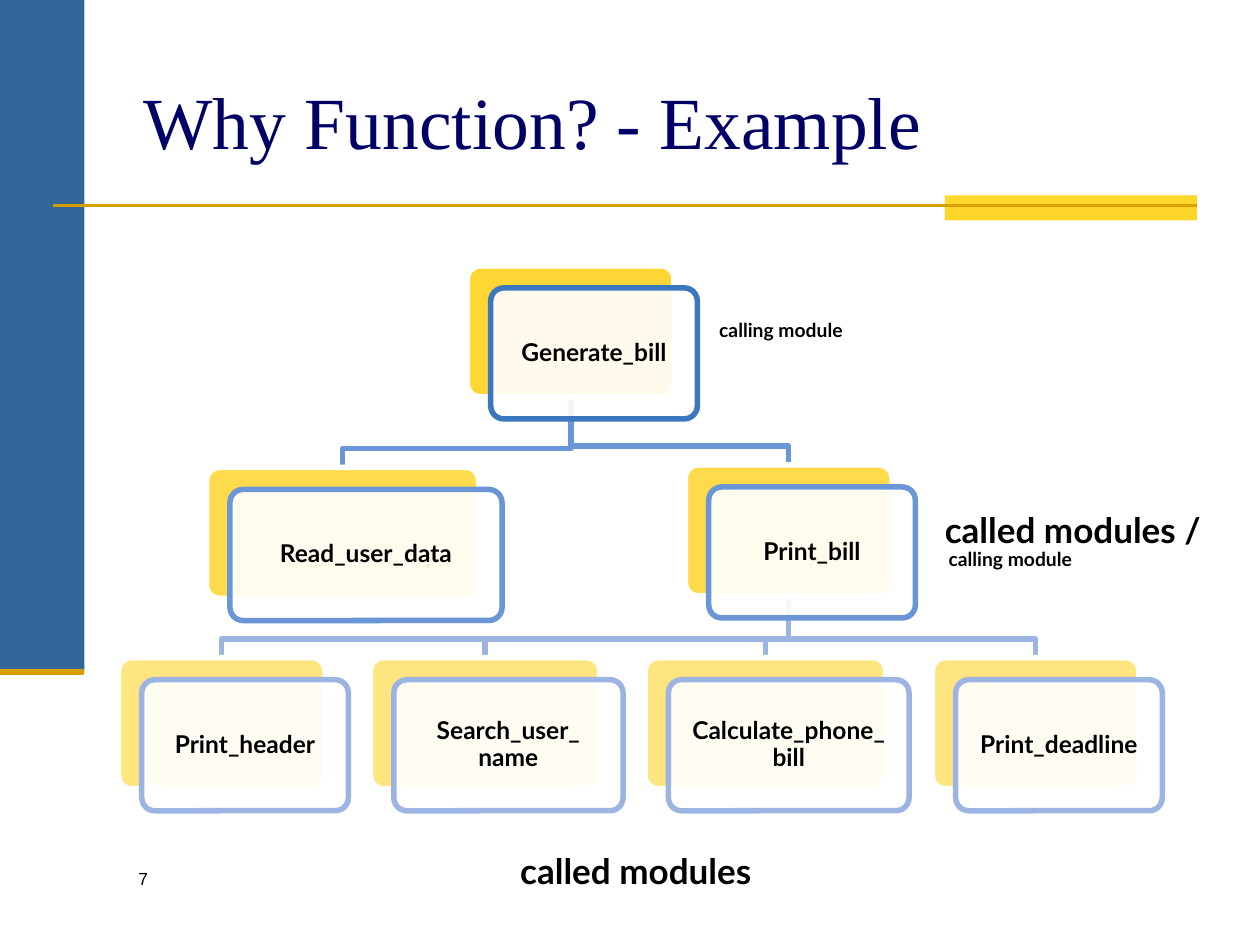
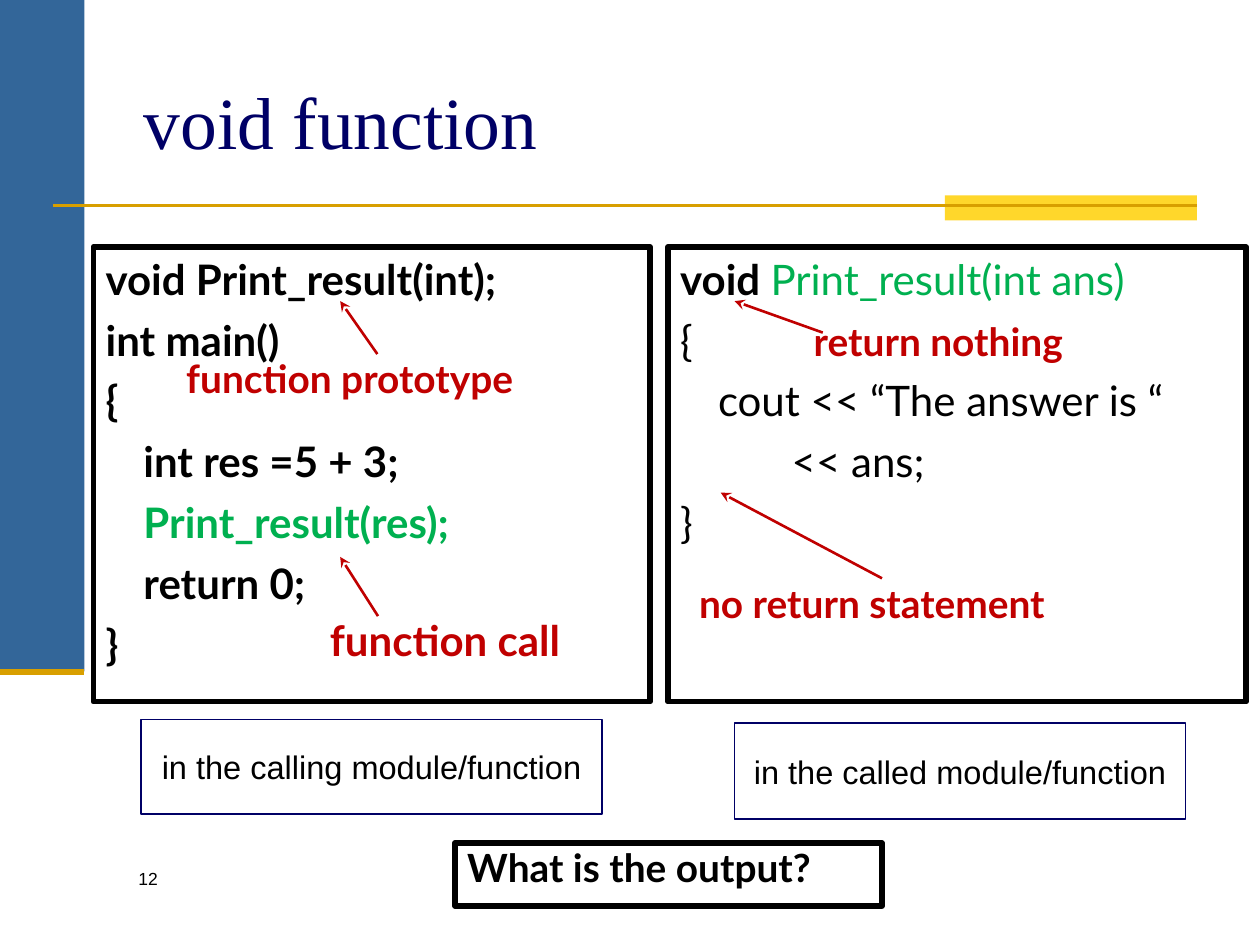
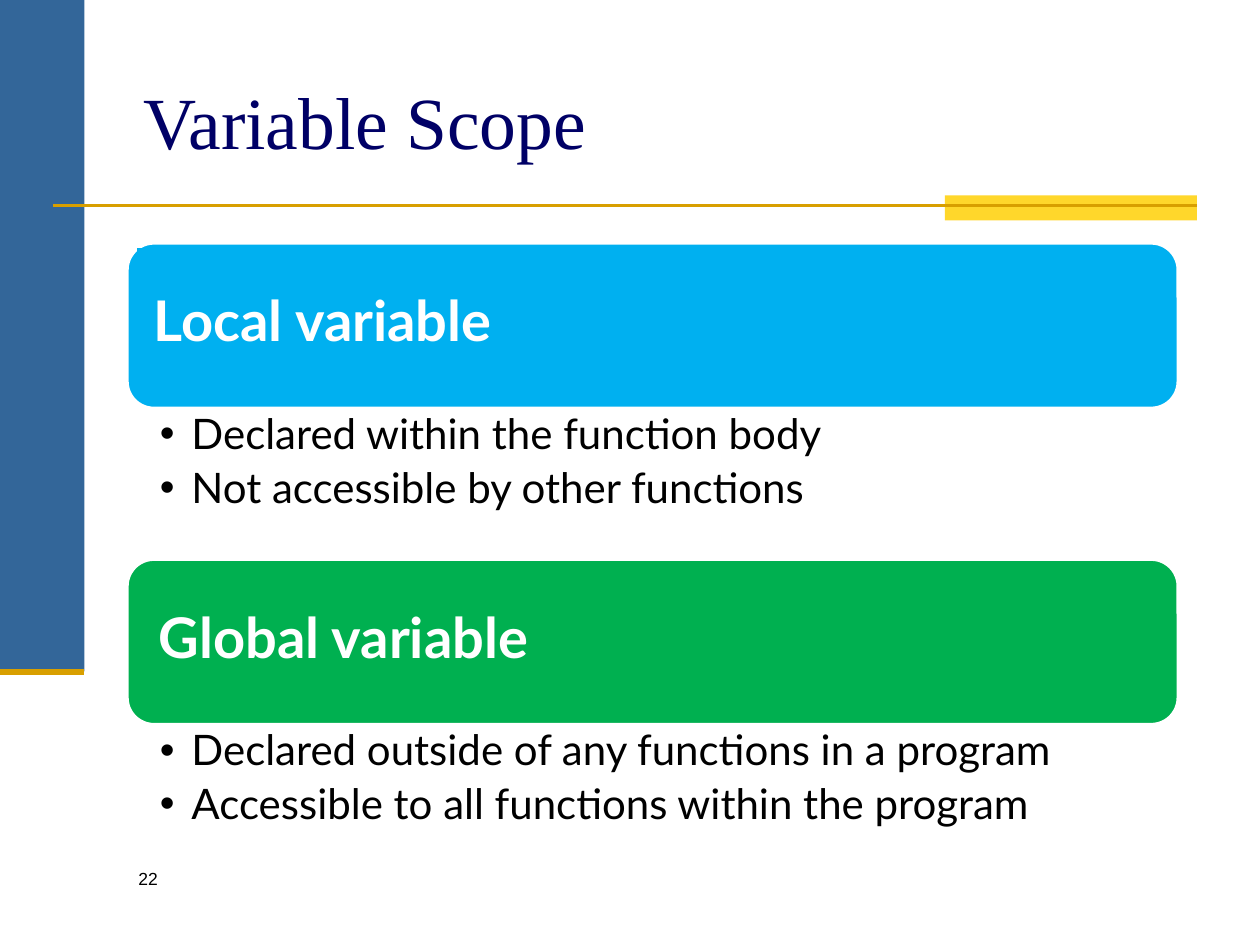
from lxml import etree
from pptx import Presentation
from pptx.dml.color import RGBColor
from pptx.enum.shapes import MSO_CONNECTOR, MSO_SHAPE
from pptx.enum.text import MSO_ANCHOR, MSO_AUTO_SIZE, PP_ALIGN
from pptx.oxml.ns import qn
from pptx.util import Inches, Pt

RECT, ROUND = MSO_SHAPE.RECTANGLE, MSO_SHAPE.ROUNDED_RECTANGLE
STRAIGHT = MSO_CONNECTOR.STRAIGHT
TOP, MIDDLE = MSO_ANCHOR.TOP, MSO_ANCHOR.MIDDLE
LEFT, CENTER = PP_ALIGN.LEFT, PP_ALIGN.CENTER
NO_FIT = MSO_AUTO_SIZE.NONE

WIDTH, HEIGHT = Inches(10), Inches(7.5)
COLUMN, ROW = WIDTH / 100, HEIGHT / 75
BODY, SERIF, SANS = "Lato", "Times New Roman", "Arial"
BLACK, WHITE, NAVY, RED, GREEN = "000000", "FFFFFF", "000066", "C00000", "00B050"
STEEL, YELLOW, GOLD, AMBER, SKY = "336699", "FFD72B", "D89F00", "FFCC00", "00B0F0"
HEAVY = 3.15
INSETS = (1, 0.5, 1, 0.5)

NODE_H, FRONT_DX, FRONT_DY, TURN = 10.4, 1.85, 1.75, 1.5
LEVELS = [("3B77BE", 80), ("6A95D7", 70), ("9CB4E1", 50)]
NODES = {
    "Generate_bill": (37.1, 21.1, 16.4, 0, None),
    "Read_user_data": (16.4, 37.1, 21.6, 1, "Generate_bill"),
    "Print_bill": (54.4, 36.9, 16.4, 1, "Generate_bill"),
    "Print_header": (9.4, 52.2, 16.4, 2, "Print_bill"),
    "Search_user_ name": (29.4, 52.2, 18.2, 2, "Print_bill"),
    "Calculate_phone_ bill": (51.2, 52.2, 19.1, 2, "Print_bill"),
    "Print_deadline": (74, 52.2, 16.4, 2, "Print_bill"),
}


def rgb(value):
    """Turn a hex string into a colour."""
    return RGBColor.from_string(value)


def grid(box):
    """Turn alternating columns and rows into slide lengths."""
    return [round(v * (ROW if i % 2 else COLUMN)) for i, v in enumerate(box)]


def set_line(line, color, width):
    """Give an outline its colour and width in points."""
    line.color.rgb = rgb(color)
    line.width = Pt(width)


def write(sp, paragraphs, size, color=BLACK, bold=False, font=BODY, align=LEFT,
          anchor=TOP, spacing=None, before=0, insets=INSETS):
    """Fill a text frame; each paragraph is a list of (text, format changes)."""
    tf = sp.text_frame
    tf.word_wrap, tf.auto_size, tf.vertical_anchor = True, NO_FIT, anchor
    tf.margin_left, tf.margin_top, tf.margin_right, tf.margin_bottom = grid(insets)
    for i, runs in enumerate(paragraphs):
        p = tf.add_paragraph() if i else tf.paragraphs[0]
        p.alignment, p.line_spacing = align, spacing
        p.space_before = Pt(before if i else 0)
        for text, changes in runs:
            r = p.add_run()
            r.text = text
            r.font.name, r.font.size = font, Pt(size)
            r.font.bold = changes.get("bold", bold)
            r.font.color.rgb = rgb(changes.get("color", color))
    return sp


def hang(sp, indent, bullet=None):
    """Set a hanging indent with either a bullet or inch tab stops."""
    for p in sp.text_frame.paragraphs:
        pPr = p._p.get_or_add_pPr()
        pPr.set("marL", str(Inches(indent)))
        pPr.set("indent", str(-Inches(indent)))
        if bullet:
            etree.SubElement(pPr, qn("a:buFont"), typeface=SANS)
            etree.SubElement(pPr, qn("a:buChar"), char=bullet)
        else:
            tabs = etree.SubElement(pPr, qn("a:tabLst"))
            for i in range(8):
                etree.SubElement(tabs, qn("a:tab"), pos=str(Inches(i)), algn="l")


def label(s, box, text, size, **style):
    """Add a text box holding one run."""
    return write(s.shapes.add_textbox(*grid(box)), [[(text, {})]], size, **style)


def panel(s, box, fill=None, line=None, width=HEAVY, kind=RECT, radius=None, alpha=None):
    """Add a flat shape with optional fill, opacity and outline."""
    sp = s.shapes.add_shape(kind, *grid(box))
    sp.shadow.inherit = False
    if radius is not None:
        sp.adjustments[0] = radius
    if fill:
        sp.fill.solid()
        sp.fill.fore_color.rgb = rgb(fill)
    else:
        sp.fill.background()
    if alpha:
        clr = sp._element.spPr.find(".//" + qn("a:srgbClr"))
        etree.SubElement(clr, qn("a:alpha"), val=str(alpha * 1000))
    if line:
        set_line(sp.line, line, width)
    else:
        sp.line.fill.background()
    return sp


def rule(s, ends, color, width, head=None):
    """Draw a straight line, with an arrowhead at its end if named."""
    cx = s.shapes.add_connector(STRAIGHT, *grid(ends))
    set_line(cx.line, color, width)
    if head:
        etree.SubElement(cx.line._ln, qn("a:tailEnd"), type=head)
    etree.SubElement(cx._element.spPr, qn("a:effectLst"))
    return cx


def new_slide(prs, title, number):
    """Add a slide with the shared bands, title and page number."""
    s = prs.slides.add_slide(prs.slide_layouts[5])
    panel(s, (0, 0, 6.7, 53.3), STEEL)
    panel(s, (75, 15.5, 20, 2), YELLOW)
    rule(s, (4.2, 16.3, 95, 16.3), GOLD, 1.5)
    rule(s, (0, 53.3, 6.7, 53.3), GOLD, 3.5)
    sp = s.shapes.title
    sp.left, sp.top, sp.width, sp.height = grid((10.4, 3.3, 85, 12.5))
    write(sp, [[(title, {})]], 42, NAVY, font=SERIF, anchor=MIDDLE)
    label(s, (10, 68.4, 21.7, 5), number, 10, font=SANS)
    return s


def branch(s, parent, child):
    """Draw the elbow from a parent node down to a child node."""
    px, py, pw = parent[:3]
    x, y, w, level = child[:4]
    x0, x1, turn = px + pw / 2, x + w / 2, y - TURN
    points = [(x0, py + NODE_H), (x0, turn), (x1, turn), (x1, y)]
    points = [grid(point) for point in points]
    builder = s.shapes.build_freeform(*points[0], scale=1.0)
    builder.add_line_segments(points[1:], close=False)
    sp = builder.convert_to_shape()
    sp.shadow.inherit = False
    sp.fill.background()
    set_line(sp.line, LEVELS[level][0], HEAVY)


def node(s, name, x, y, w, level):
    """Draw a node as a tinted card behind an outlined, named card."""
    color, alpha = LEVELS[level]
    panel(s, (x, y, w, NODE_H), AMBER, WHITE, kind=ROUND, radius=0.1, alpha=alpha)
    front = panel(s, (x + FRONT_DX, y + FRONT_DY, w, NODE_H), WHITE, color,
                  kind=ROUND, radius=0.1, alpha=90)
    write(front, [[(name, {})]], 14, bold=True, align=CENTER, anchor=MIDDLE,
          spacing=0.9, insets=(0.6,) * 4)


def code(s, box, lines, bold):
    """Draw a framed listing with tabbed code lines."""
    sp = panel(s, box, WHITE, BLACK)
    write(sp, lines, 24, bold=bold, before=6)
    hang(sp, 0.3)


def note(s, box, text, tip, start=None, size=22.2, spacing=0.9):
    """Add a red remark and its arrow, joined to the remark's top by default."""
    sp = label(s, box, text, size, color=RED, bold=True, spacing=spacing)
    cx = rule(s, (start or box[:2]) + tip, RED, 1.5, "stealth")
    if start is None:
        cx.begin_connect(sp, 0)


def scope(s, top, color, heading, heading_box, outline, points):
    """Draw a coloured heading bar and the bullets under it."""
    panel(s, (10, top, 83.6, 13.3), color, WHITE, kind=ROUND, radius=0.167)
    x, w = heading_box
    sp = panel(s, (x, top + 0.5, w, 12), color, outline, 0.75)
    write(sp, [[(heading, {})]], 32, WHITE, True, anchor=MIDDLE, spacing=0.9,
          insets=(1.3,) * 4)
    sp = s.shapes.add_textbox(*grid((10, top + 13.3, 83.6, 11.8)))
    write(sp, [[(point, {})] for point in points], 24, spacing=0.9, before=4.8,
          insets=(2.7, 0.3, 1.9, 0.3))
    hang(sp, 0.25, "•")


def example_slide(prs):
    """Show the call tree of the billing program."""
    s = new_slide(prs, "Why Function? - Example", "7")
    for child in NODES.values():
        if child[4]:
            branch(s, NODES[child[4]], child)
    for name, (x, y, w, level, _) in NODES.items():
        node(s, name, x, y, w, level)
    for x, y in ((56.1, 25.1), (74.3, 43.3)):
        label(s, (x, y, 23, 3.1), "calling module", 11, bold=True, spacing=0.8)
    label(s, (74, 39.9, 25.2, 4.4), "called modules /", 20, bold=True)
    label(s, (40.3, 66.9, 25.2, 4.4), "called modules", 20, bold=True)


def void_slide(prs):
    """Compare the calling and the called code of a void function."""
    s = new_slide(prs, "void function", "12")
    green = {"color": GREEN}
    code(s, (7.4, 19.6, 44.2, 36.1), [
        [("void Print_result(int);", {})],
        [("int main()", {})],
        [("{", {})],
        [("\tint res =5 + 3;", {})],
        [("\t", {}), ("Print_result(res);", green)],
        [("\treturn 0;", {})],
        [("}", {})],
    ], True)
    code(s, (53, 19.6, 45.9, 36.1), [
        [("void ", {"bold": True}), ("Print_result(int ans)", green)],
        [("{", {})],
        [("\tcout << “The answer is “", {})],
        [("\t\t << ans;", {})],
        [("}", {})],
    ], False)
    for box, text in (((11.2, 57.1, 36.6, 7.5), "in the calling module/function"),
                      ((58.3, 57.4, 35.8, 7.6), "in the called module/function")):
        write(panel(s, box, line=NAVY, width=1), [[(text, {})]], 18.6, font=SANS,
              align=CENTER, anchor=MIDDLE)
    note(s, (25.2, 48.3, 25, 5.1), "function call", (27, 44.2), (30, 48.9), 24, None)
    note(s, (63.6, 25.1, 25, 5.1), "return nothing", (58.3, 23.9), (65.3, 26.4))
    note(s, (54.5, 45.9, 36.7, 4.7), "no return statement", (57.2, 39.1), (70, 45.9))
    note(s, (13.8, 28.1, 32.3, 5.1), "function prototype", (27, 23.9))
    write(panel(s, (36.1, 66.9, 33.9, 5), WHITE, BLACK),
          [[("What is the output?", {})]], 22.2, bold=True, spacing=0.9)


def scope_slide(prs):
    """Contrast local and global variables."""
    s = new_slide(prs, "Variable Scope", "22")
    scope(s, 19.2, SKY, "Local variable", (10.9, 80.8), SKY,
          ["Declared within the function body", "Not accessible by other functions"])
    scope(s, 44.3, GREEN, "Global variable", (11.3, 77.9), None,
          ["Declared outside of any functions in a program",
           "Accessible to all functions within the program"])


def main():
    """Build and save the slides."""
    prs = Presentation()
    prs.slide_width, prs.slide_height = WIDTH, HEIGHT
    example_slide(prs)
    void_slide(prs)
    scope_slide(prs)
    prs.save("out.pptx")


if __name__ == "__main__":
    main()
